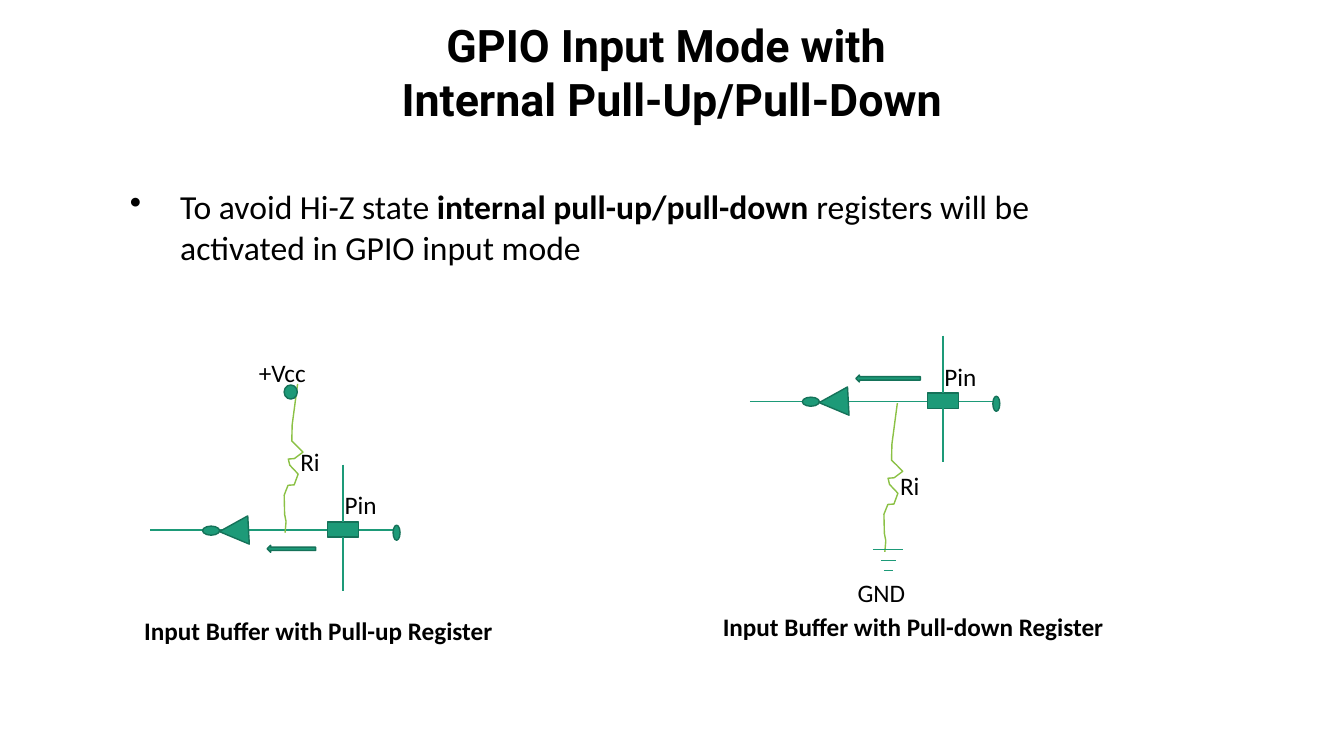
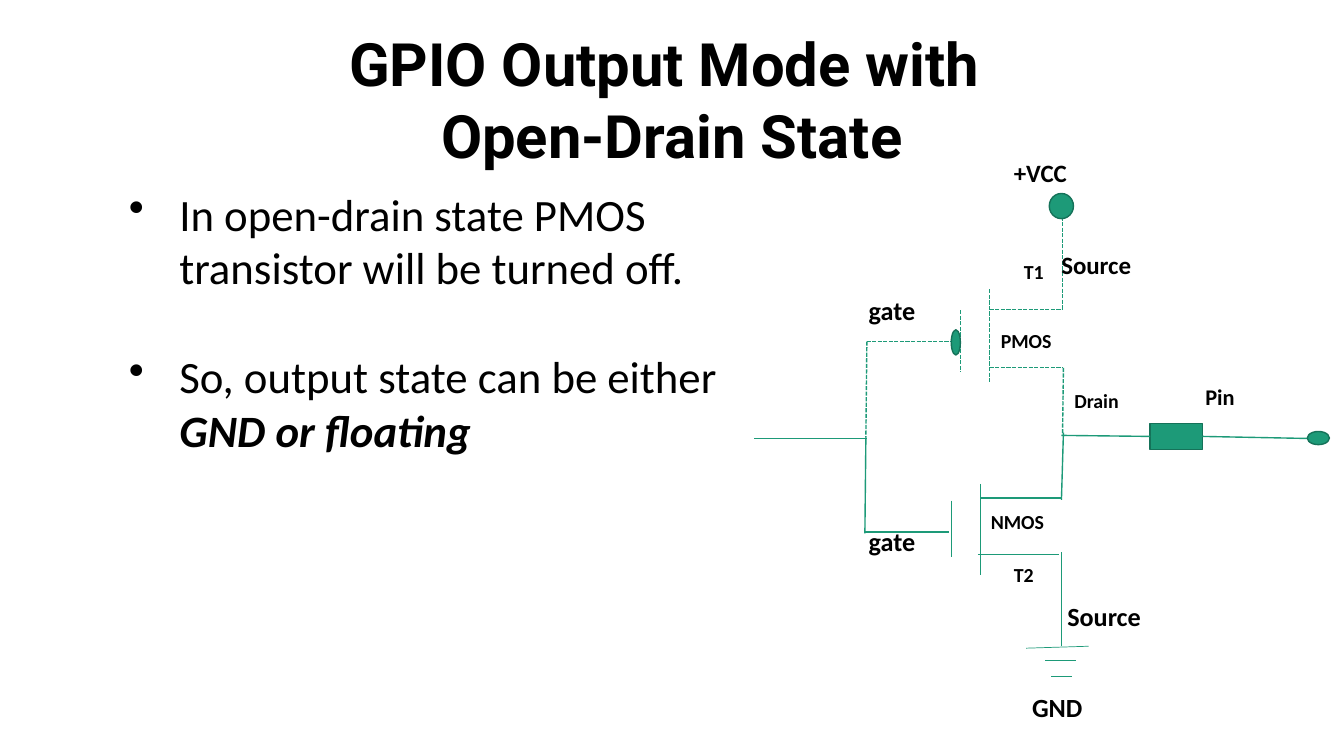
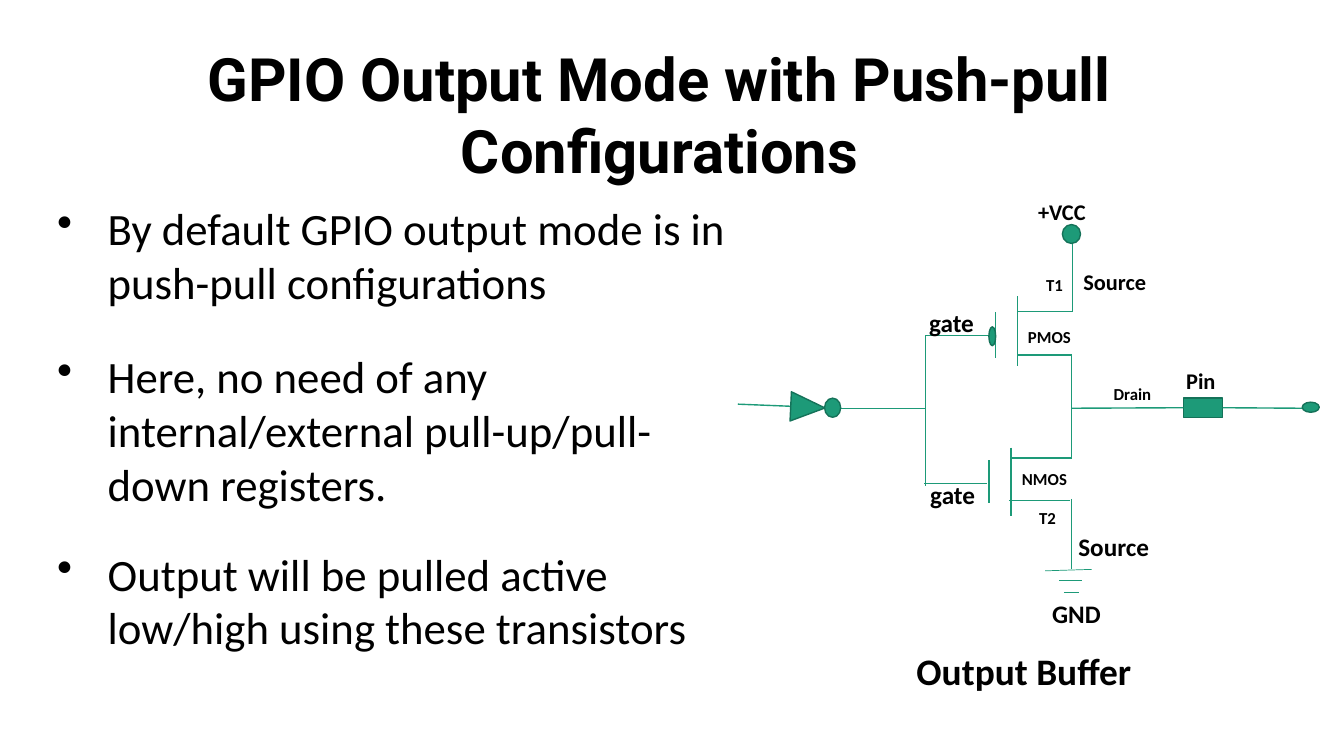
from dataclasses import dataclass
from lxml.etree import SubElement
from pptx import Presentation
from pptx.dml.color import RGBColor
from pptx.enum.dml import MSO_LINE
from pptx.enum.shapes import MSO_CONNECTOR, MSO_SHAPE as Kind
from pptx.enum.text import PP_ALIGN as Align
from pptx.oxml.ns import qn
from pptx.util import Pt


@dataclass(frozen=True)
class Theme:
    ink: RGBColor = RGBColor(0, 0, 0)
    fill: RGBColor = RGBColor.from_string("1D9A78")
    edge: RGBColor = RGBColor.from_string("157259")
    coil: RGBColor = RGBColor.from_string("8BC145")
    head: str = "Roboto"
    body: str = "Calibri"
    big: float = 42.7
    mid: float = 32
    note: float = 24
    label: float = 18
    thin: float = 0.5
    wire: float = 1


T = Theme()

# Titles: lines, left, top, width, size
TITLES = [
    (["GPIO Input Mode with ", "Internal Pull-Up/Pull-Down"], 0, 9.4, 960, T.mid),
    (["GPIO Output Mode with ", "Open-Drain State"], 0, 15.8, 960, T.big),
    (["GPIO Output Mode with Push-pull Configurations"], 56.2, 26.6, 830.2, T.big),
]

# Bullets: left, top, width, size, then (space before, runs); a run is (text, style)
BULLETS = [
    (85.7, 129.6, 734.4, T.note, [
        (0, [("To avoid Hi-Z state", ""), (" internal pull-up/pull-down", "b"),
             (" registers will be activated in GPIO input mode", "")])]),
    (85, 129.6, 494.6, T.mid, [
        (0, [("In open-drain state PMOS transistor will be turned off.", "")]),
        (39, [("So, output state can be either ", ""), ("GND or floating", "bi")])]),
    (33.8, 139.7, 493.2, T.mid, [
        (0, [("By default GPIO output mode is in push-pull configurations", "")]),
        (29, [("Here, no need of any internal/external pull-up/pull-down registers.", "")]),
        (26, [("Output will be pulled active low/high using these transistors", "")])]),
]

# Input buffers: wire start, resistor, its label, arrow
BUFFERS = [
    ((107.3, 378.7), (203.8, 274.3), (207.4, 315.4), (190.8, 389.5, 34.6, 5)),
    ((535.7, 286.6), (632.2, 288), (635.8, 332.6), (611.3, 267.8, 46.1, 5)),
]
COIL = [(4.3, 0), (2.9, 29.5), (3.6, 41), (7.2, 43.9), (12.2, 48.2), (6.5, 53.3),
        (2.2, 54), (3.6, 58.3), (10.1, 64.1), (7.9, 72), (3.6, 72.7), (1.4, 79.9),
        (2.9, 93.6), (4.3, 98.6), (4.3, 106.6)]
EARTH = [(623.5, 392.4, 645.1, 392.4), (629.3, 400.3, 640.1, 400.3),
         (631.4, 407.5, 637.9, 407.5)]
CAPTIONS = [("Input Buffer with Pull-up Register", 67, 436.3, 321),
            ("Input Buffer with Pull-down Register", 485.3, 433.4, 334)]

# Transistors, measured from the drain column and the top of each channel
PMOS = [(-140, 37.5, -79, 37.5), (-73, 15, -73, 59), (-52, 0, -52, 66),
        (-52, 14.5, 0, 14.5), (-52, 56, 0, 56), (0, -52, 0, 15)]
DOTS = [(-79.5, 29, 6.5, 18), (-9.5, -68.4, 17.3, 18)]
NMOS = [(-141, 34.5, -81, 34.5), (-79.5, 12, -79.5, 52.5), (-58.5, 0, -58.5, 65),
        (-58.5, 10, -0.5, 10), (-60.5, 50.5, -2.5, 50.5), (-0.7, 49, -0.7, 116)]
GROUND = [(-26, 117.4, 18.6, 116), (-12.4, 126, 9.3, 126), (-8, 137.5, 6.4, 137.5)]

# Output stages; labels are text, left, top, width, size
DRAIN = dict(
    x=759, top=206.6, low=345.6, scale=1, dash=True,
    dashed=[(619.2, 244, 618.5, 312.5), (759.6, 262.8, 759, 310.3)],
    solid=[(538.6, 313.2, 619.2, 313.2), (618.5, 312.5, 617.8, 381),
           (759.6, 309, 758.2, 357)],
    pin=(821.5, 302.4, 37.4, 18.7), start=(758.2, 311), end=(934.6, 313.2),
    pad=(933.8, 308.2, 15.8, 9.4),
    labels=[("Drain", 760.3, 274.3, 68, 14.2), ("NMOS", 700.6, 360.7, 68, 14.2),
            ("Source", 751, 175, 88, 17.8), ("Source", 755.3, 425.5, 106, 18.7),
            ("T1", 724.3, 182.2, 47, 14.2), ("Pin", 853.9, 270, 68, 16),
            ("PMOS", 707.8, 231.1, 68, 14.2), ("T2", 717.1, 398.2, 47, 14.2),
            ("gate", 613.4, 371.5, 81, 18.7), ("gate", 613.4, 206.6, 81, 18.7),
            ("+VCC", 717.1, 108.7, 96, 17.8), ("GND", 730.1, 490.3, 74, 18.7)])
PUSH = dict(
    x=766, top=211.7, low=319.7, scale=0.75, dash=False, dashed=[],
    solid=[(527, 288.7, 564.5, 290.2), (600.5, 291.6, 661, 291.6),
           (661, 239.8, 661, 347), (765.4, 252.7, 765.4, 326.2)],
    pin=(845.3, 284.4, 28.1, 13.7), start=(765.4, 291.6), end=(930.2, 291.6),
    pad=(930.2, 287.3, 12.2, 7.2),
    labels=[("Drain", 788.4, 270.7, 51, 12), ("NMOS", 722.9, 331.2, 51, 12),
            ("Source", 766.8, 187.9, 88, 16), ("Source", 763.2, 375.8, 80, 18),
            ("T1", 740.2, 193, 35, 12), ("Pin", 840.2, 258.5, 51, 16),
            ("PMOS", 727.2, 229.7, 51, 12), ("T2", 735.1, 359.3, 35, 12),
            ("gate", 657.4, 339.1, 60.5, 18), ("gate", 656.6, 216, 60.5, 18),
            ("+VCC", 734.4, 138.2, 72, 16), ("GND", 744.5, 424.1, 56, 18)])


def box(slide, x, y, w, h):
    frame = slide.shapes.add_textbox(Pt(x), Pt(y), Pt(w), Pt(h)).text_frame
    frame.word_wrap = True
    return frame


def style(para, size, face, bold=False):
    font = para.font
    font.size, font.name, font.bold = Pt(size), face, bold
    font.color.rgb = T.ink


def text(slide, lines, x, y, w, size, face=T.body, bold=True, align=Align.LEFT):
    frame = box(slide, x, y, w, 7.2 + len(lines) * size * 1.22)
    for i, line in enumerate(lines):
        para = frame.add_paragraph() if i else frame.paragraphs[0]
        para.text, para.alignment = line, align
        style(para, size, face, bold)


def bullets(slide, x, y, w, size, items):
    frame = box(slide, x, y, w, 7.2 + 2.44 * size * len(items))
    for i, (gap, runs) in enumerate(items):
        para = frame.add_paragraph() if i else frame.paragraphs[0]
        props = para._p.get_or_add_pPr()
        props.set("marL", str(Pt(36)))
        props.set("indent", str(Pt(-36)))
        SubElement(props, qn("a:buChar")).set("char", "•")
        para.space_before = Pt(gap)
        style(para, size, T.body)
        for words, mark in runs:
            run = para.add_run()
            run.text = words
            if mark:
                run.font.bold, run.font.italic = True, "i" in mark


def line(slide, ends, width=T.wire, dash=False):
    wire = slide.shapes.add_connector(MSO_CONNECTOR.STRAIGHT, *map(Pt, ends))
    wire.line.color.rgb, wire.line.width = T.fill, Pt(width)
    if dash:
        wire.line.dash_style = MSO_LINE.SQUARE_DOT
    SubElement(wire._element.spPr, qn("a:effectLst"))
    return wire


def form(slide, kind, area, turn=0):
    item = slide.shapes.add_shape(kind, *map(Pt, area))
    item.shadow.inherit = False
    item.rotation = turn
    item.fill.solid()
    item.fill.fore_color.rgb = T.fill
    item.line.color.rgb, item.line.width = T.edge, Pt(T.wire)
    return item


def coil(slide, x, y):
    pts = [(Pt(x + a), Pt(y + b)) for a, b in COIL]
    pen = slide.shapes.build_freeform(*pts[0], scale=1.0)
    pen.add_line_segments(pts[1:], close=False)
    item = pen.convert_to_shape()
    item.shadow.inherit = False
    item.rotation = 4.8
    item.fill.background()
    item.line.color.rgb, item.line.width = T.coil, Pt(T.wire)


def buffer(slide, start, ohm, tag, arrow):
    x, y = start
    line(slide, (x, y, x + 173.5, y))
    form(slide, Kind.ISOSCELES_TRIANGLE, (x + 49.7, y - 10, 20.2, 20.9), 266.9)
    pin = form(slide, Kind.RECTANGLE, (x + 126.7, y - 5.8, 22.3, 10.8))
    form(slide, Kind.OVAL, (x + 173.5, y - 3.6, 5, 10.8))
    form(slide, Kind.OVAL, (x + 37.4, y - 2.9, 12.2, 6.5))
    mid = x + 137.85
    line(slide, (mid, y - 46.8, mid, y - 5.8)).end_connect(pin, 0)
    line(slide, (mid, y + 5, mid, y + 43.2)).begin_connect(pin, 2)
    coil(slide, *ohm)
    text(slide, ["Pin"], x + 131.8, y - 32.4, 62, T.label, bold=False)
    text(slide, ["Ri"], *tag, 47, T.label, bold=False)
    form(slide, Kind.RIGHT_ARROW, arrow, 180)


def stage(slide, x, top, low, scale, dash, dashed, solid, pin, start, end, pad, labels):
    """Draw a PMOS/NMOS pair with its pin."""
    def put(ends, y):
        a, b, c, d = (v * scale for v in ends)
        return x + a, y + b, x + c, y + d

    for ends in PMOS:
        line(slide, put(ends, top), dash=dash)
    for ends in NMOS:
        line(slide, put(ends, low))
    for ends in GROUND:
        line(slide, put(ends, low), T.thin)
    for ends in dashed:
        line(slide, ends, dash=True)
    for ends in solid:
        line(slide, ends)
    for a, b, w, h in DOTS:
        form(slide, Kind.OVAL, (x + a * scale, top + b * scale, w * scale, h * scale))
    block = form(slide, Kind.RECTANGLE, pin)
    line(slide, (*start, *start)).end_connect(block, 1)
    line(slide, (*end, *end)).begin_connect(block, 3)
    form(slide, Kind.OVAL, pad)
    for words, *spot in labels:
        text(slide, [words], *spot)


def main():
    deck = Presentation()
    deck.slide_width, deck.slide_height = Pt(960), Pt(540)
    pages = []
    for title, points in zip(TITLES, BULLETS):
        page = deck.slides.add_slide(deck.slide_layouts[6])
        text(page, *title, face=T.head, align=Align.CENTER)
        bullets(page, *points)
        pages.append(page)
    pull, drain, push = pages

    for part in BUFFERS:
        buffer(pull, *part)
    form(pull, Kind.OVAL, (203, 275, 9.4, 10.1))
    for ends in EARTH:
        line(pull, ends, T.thin)
    text(pull, ["+Vcc"], 177.8, 252, 61, T.label, bold=False)
    text(pull, ["GND"], 605.5, 409, 61, T.label, bold=False)
    for words, *spot in CAPTIONS:
        text(pull, [words], *spot, T.label, align=Align.CENTER)

    stage(drain, **DRAIN)

    stage(push, **PUSH)
    form(push, Kind.ISOSCELES_TRIANGLE, (566.6, 278.6, 20.9, 24.5), 92.7)
    form(push, Kind.OVAL, (589, 284.4, 11.5, 13.7))
    text(push, ["Output Buffer"], 545, 459.4, 373, 26.7, align=Align.CENTER)

    deck.save("out.pptx")


if __name__ == "__main__":
    main()
